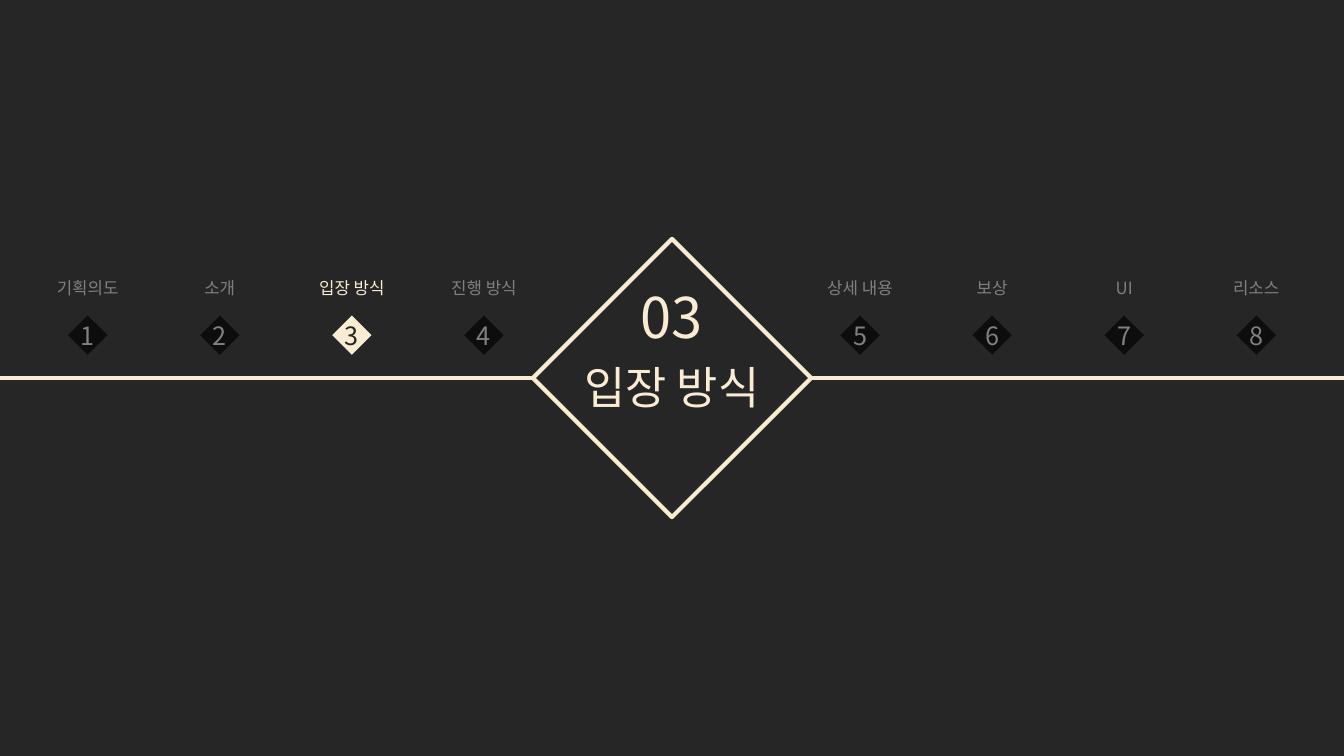
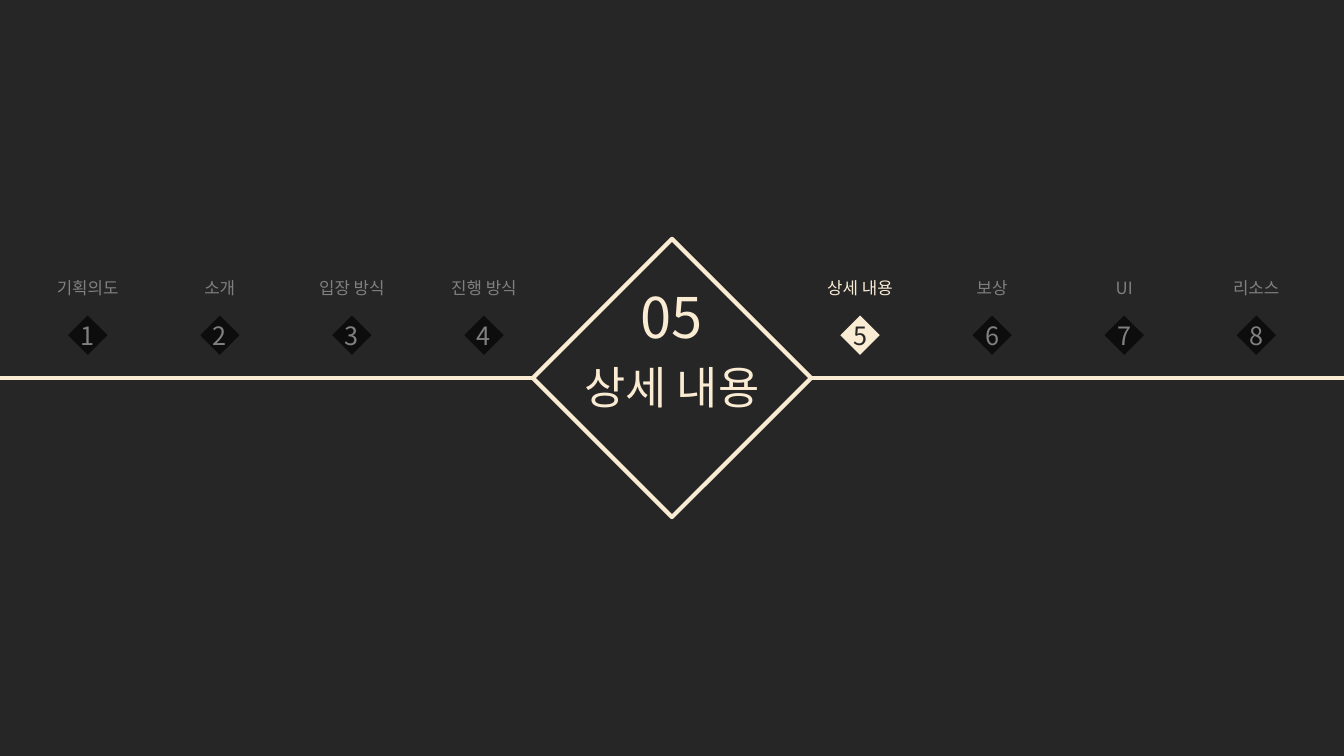
"""Build the section divider slides with a progress rail of eight steps."""
from lxml import etree
from pptx import Presentation
from pptx.dml.color import RGBColor
from pptx.enum.shapes import MSO_CONNECTOR, MSO_SHAPE
from pptx.enum.text import MSO_ANCHOR, MSO_AUTO_SIZE, PP_ALIGN
from pptx.oxml.ns import qn
from pptx.util import Inches, Pt

STEPS = ["기획의도", "소개", "입장 방식", "진행 방식", "상세 내용", "보상", "UI", "리소스"]
SECTIONS = [3, 5]

FONT = "Noto Sans CJK KR"
DARK, CREAM, BLACK, GREY = "262626", "FAEBD3", "0D0D0D", "808080"
STRAIGHT, DIAMOND = MSO_CONNECTOR.STRAIGHT, MSO_SHAPE.DIAMOND
TOP, MIDDLE = MSO_ANCHOR.TOP, MSO_ANCHOR.MIDDLE
CENTER, GROW = PP_ALIGN.CENTER, MSO_AUTO_SIZE.SHAPE_TO_FIT_TEXT

WIDTH, HEIGHT = 13.33, 7.5
MID_X, RAIL_Y = WIDTH / 2, HEIGHT / 2
EMBLEM = 2.76
RAIL_WEIGHT = 3
STEP_PITCH = 1.31
HALF_STARTS = (0.87, 8.53)
HALF_COUNT = len(STEPS) // 2
MARKER, MARKER_TOP = 0.39, 3.13
LABEL_WIDTH, LABEL_HEIGHT, LABEL_TOP = 1.2, 0.3, 2.71

NUMBER = {"center": MID_X, "top": 2.75, "width": 1.96, "height": 0.77, "size": 40, "anchor": TOP}
TITLE = {"center": MID_X, "top": 3.52, "width": 4.37, "height": 0.64, "size": 32, "anchor": MIDDLE}


def rgb(code):
    return RGBColor.from_string(code)


def write(frame, text, size, color, **settings):
    for name, value in settings.items():
        setattr(frame, name, value)
    paragraph = frame.paragraphs[0]
    paragraph.alignment = CENTER
    run = paragraph.add_run()
    run.text = text
    for name, value in {"name": FONT, "size": Pt(size)}.items():
        setattr(run.font, name, value)
    run.font.color.rgb = rgb(color)
    east_asian = etree.SubElement(run._r.get_or_add_rPr(), qn("a:ea"))
    east_asian.set("typeface", FONT)


def add_caption(slide, text, color, center, top, width, height, size, anchor):
    caption = slide.shapes.add_textbox(
        Inches(center - width / 2), Inches(top), Inches(width), Inches(height))
    write(caption.text_frame, text, size, color,
          word_wrap=True, auto_size=GROW, vertical_anchor=anchor)


def add_diamond(slide, center, top, side):
    diamond = slide.shapes.add_shape(
        DIAMOND, Inches(center - side / 2), Inches(top), Inches(side), Inches(side))
    diamond.shadow.inherit = False
    return diamond


def add_rail(slide, start, end):
    rail = slide.shapes.add_connector(
        STRAIGHT, Inches(start), Inches(RAIL_Y), Inches(end), Inches(RAIL_Y))
    rail.line.color.rgb = rgb(CREAM)
    rail.line.width = Pt(RAIL_WEIGHT)
    etree.SubElement(rail._element.spPr, qn("a:effectLst"))


def add_emblem(slide):
    emblem = add_diamond(slide, MID_X, RAIL_Y - EMBLEM / 2, EMBLEM)
    emblem.fill.background()
    emblem.line.color.rgb = rgb(CREAM)
    emblem.line.width = Pt(RAIL_WEIGHT)


def add_step(slide, index, current):
    half, position = divmod(index, HALF_COUNT)
    center = HALF_STARTS[half] + position * STEP_PITCH
    fill, digit, label = (CREAM, DARK, CREAM) if current else (BLACK, GREY, GREY)
    marker = add_diamond(slide, center, MARKER_TOP, MARKER)
    marker.fill.solid()
    marker.fill.fore_color.rgb = rgb(fill)
    marker.line.fill.background()
    write(marker.text_frame, str(index + 1), 18, digit, word_wrap=False,
          vertical_anchor=MIDDLE, margin_left=0, margin_right=0, margin_top=0, margin_bottom=0)
    add_caption(slide, STEPS[index], label, center, LABEL_TOP,
                LABEL_WIDTH, LABEL_HEIGHT, 12, MIDDLE)


def add_section(deck, section):
    slide = deck.slides.add_slide(deck.slide_layouts[6])
    slide.background.fill.solid()
    slide.background.fill.fore_color.rgb = rgb(DARK)
    add_rail(slide, 0, MID_X - EMBLEM / 2)
    add_rail(slide, MID_X + EMBLEM / 2, WIDTH)
    for index in range(len(STEPS)):
        add_step(slide, index, index + 1 == section)
    add_emblem(slide)
    add_caption(slide, STEPS[section - 1], CREAM, **TITLE)
    add_caption(slide, f"{section:02d}", CREAM, **NUMBER)


def main():
    deck = Presentation()
    deck.slide_width, deck.slide_height = Inches(WIDTH), Inches(HEIGHT)
    for section in SECTIONS:
        add_section(deck, section)
    deck.save("out.pptx")


if __name__ == "__main__":
    main()
